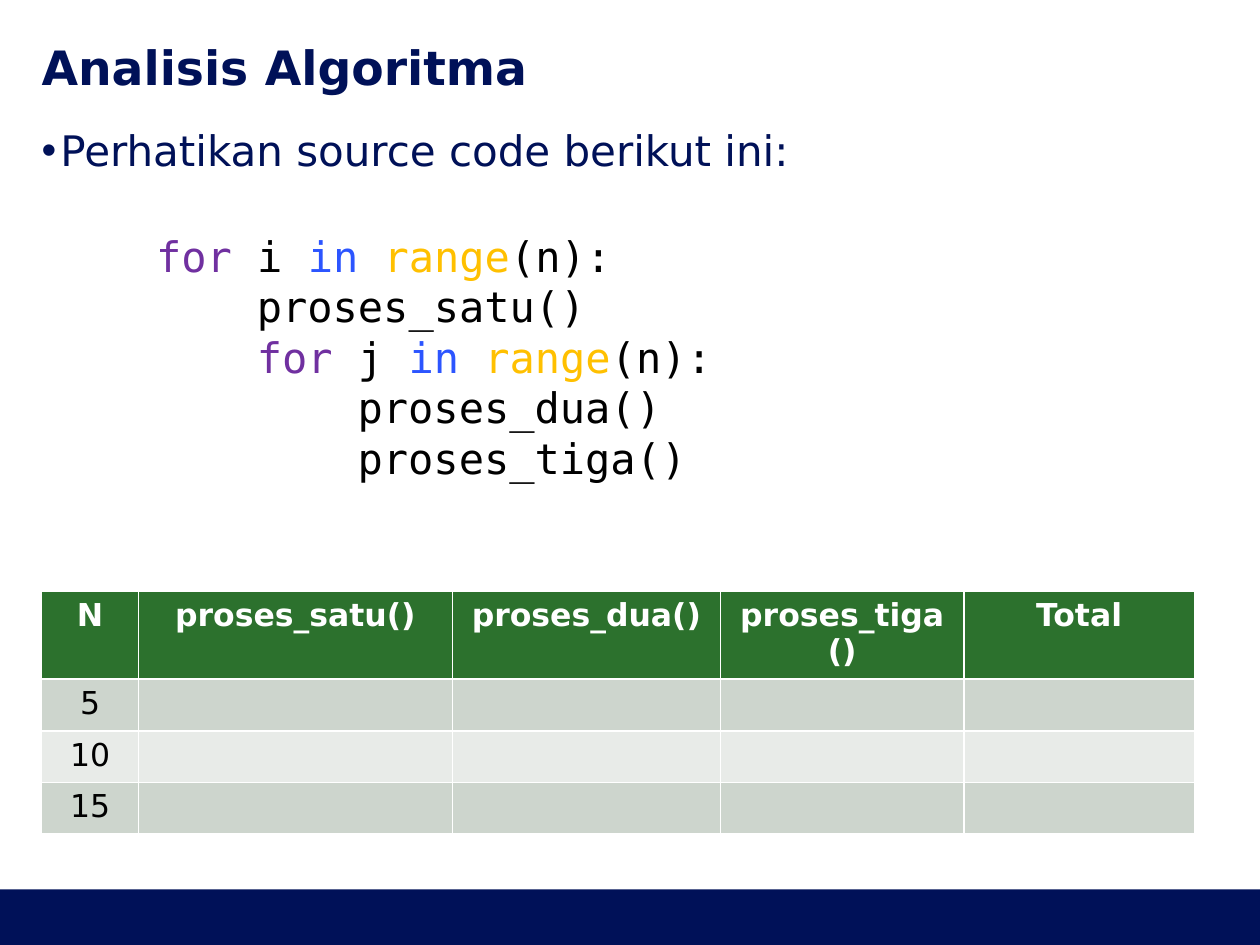
from dataclasses import dataclass

from lxml.etree import SubElement
from pptx import Presentation
from pptx.dml.color import RGBColor
from pptx.enum.shapes import MSO_SHAPE
from pptx.enum.text import MSO_ANCHOR, MSO_AUTO_SIZE, PP_ALIGN
from pptx.oxml.ns import qn
from pptx.util import Inches, Pt


@dataclass(frozen=True)
class Theme:
    navy: str = "001158"
    white: str = "FFFFFF"
    black: str = "000000"
    keyword: str = "7030A0"
    operator: str = "2C55FF"
    builtin: str = "FFC000"
    header: str = "2C712D"
    bands: tuple = ("CDD5CD", "E8EBE8")
    sans: str = "DejaVu Sans"
    mono: str = "DejaVu Sans Mono"
    title_size: int = 27
    text_size: int = 24
    table_size: int = 18


theme = Theme()


def set_font(font, name, size, color, bold=False):
    font.name, font.size, font.bold = name, Pt(size), bold
    font.color.rgb = RGBColor.from_string(color)


def place_placeholder(shape, top, height, text, anchor):
    shape.left, shape.top = Inches(0.33), Inches(top)
    shape.width, shape.height = Inches(9.34), Inches(height)
    frame = shape.text_frame
    frame.text = text
    frame.margin_left = frame.margin_top = frame.margin_right = frame.margin_bottom = 0
    frame.auto_size = MSO_AUTO_SIZE.NONE
    frame.vertical_anchor = anchor
    frame.paragraphs[0].alignment = PP_ALIGN.LEFT
    return frame.paragraphs[0]


presentation = Presentation()
presentation.slide_width, presentation.slide_height = Inches(10), Inches(7.5)
slide = presentation.slides.add_slide(presentation.slide_layouts[1])

# Title
paragraph = place_placeholder(slide.shapes.title, 0.29, 0.47, "Analisis Algoritma", MSO_ANCHOR.MIDDLE)
set_font(paragraph.font, theme.sans, theme.title_size, theme.navy, bold=True)

# Bulleted introduction
paragraph = place_placeholder(
    slide.placeholders[1], 0.99, 6.06, "Perhatikan source code berikut ini:", MSO_ANCHOR.TOP)
set_font(paragraph.font, theme.sans, theme.text_size, theme.navy)
paragraph.space_before = paragraph.space_after = Pt(4.5)
properties = paragraph.font._element.getparent()
properties.set("marL", str(Inches(0.15)))
properties.set("indent", str(-Inches(0.15)))
SubElement(properties, qn("a:buChar"), char="•")
properties.append(properties.find(qn("a:defRPr")))

# Footer band
band = slide.shapes.add_shape(MSO_SHAPE.RECTANGLE, 0, Inches(7.06), Inches(10), Inches(0.44))
band.shadow.inherit = False
band.fill.solid()
band.fill.fore_color.rgb = RGBColor.from_string(theme.navy)
band.line.fill.background()

# Source code: indent level, then coloured pieces
def_range = [("range", theme.builtin), ("(n):", theme.black)]
code_lines = [
    (0, [("for ", theme.keyword), ("i ", theme.black), ("in ", theme.operator), *def_range]),
    (1, [("proses_satu()", theme.black)]),
    (1, [("for", theme.keyword), (" j ", theme.black), ("in ", theme.operator), *def_range]),
    (2, [("proses_dua()", theme.black)]),
    (2, [("proses_tiga()", theme.black)]),
]
code_box = slide.shapes.add_textbox(Inches(1.14), Inches(1.78), Inches(5.59), Inches(2.12))
frame = code_box.text_frame
frame.word_wrap = True
for index, (level, pieces) in enumerate(code_lines):
    paragraph = frame.paragraphs[0] if index == 0 else frame.add_paragraph()
    paragraph._p.get_or_add_pPr().set("marL", str(Inches(0.8) * level))
    for text, color in pieces:
        run = paragraph.add_run()
        run.text = text
        set_font(run.font, theme.mono, theme.text_size, color)

# Table of call counts; its style draws the white borders
headers = ["N", "proses_satu()", "proses_dua()", "proses_tiga()", "Total"]
widths = [0.77, 2.49, 2.13, 1.93, 1.83]
rows = [headers] + [[size, "", "", "", ""] for size in ("5", "10", "15")]
table = slide.shapes.add_table(
    len(rows), len(headers), Inches(0.33), Inches(4.69), Inches(sum(widths)), Inches(1.62)).table
for column, width in zip(table.columns, widths):
    column.width = Inches(width)
for row_index, values in enumerate(rows):
    table.rows[row_index].height = Inches(0.41)
    is_header = row_index == 0
    fill = theme.header if is_header else theme.bands[(row_index - 1) % 2]
    color = theme.white if is_header else theme.black
    for column_index, value in enumerate(values):
        cell = table.cell(row_index, column_index)
        cell.fill.solid()
        cell.fill.fore_color.rgb = RGBColor.from_string(fill)
        cell.text = value
        paragraph = cell.text_frame.paragraphs[0]
        paragraph.alignment = PP_ALIGN.CENTER
        set_font(paragraph.font, theme.sans, theme.table_size, color, bold=is_header)

presentation.save("out.pptx")
